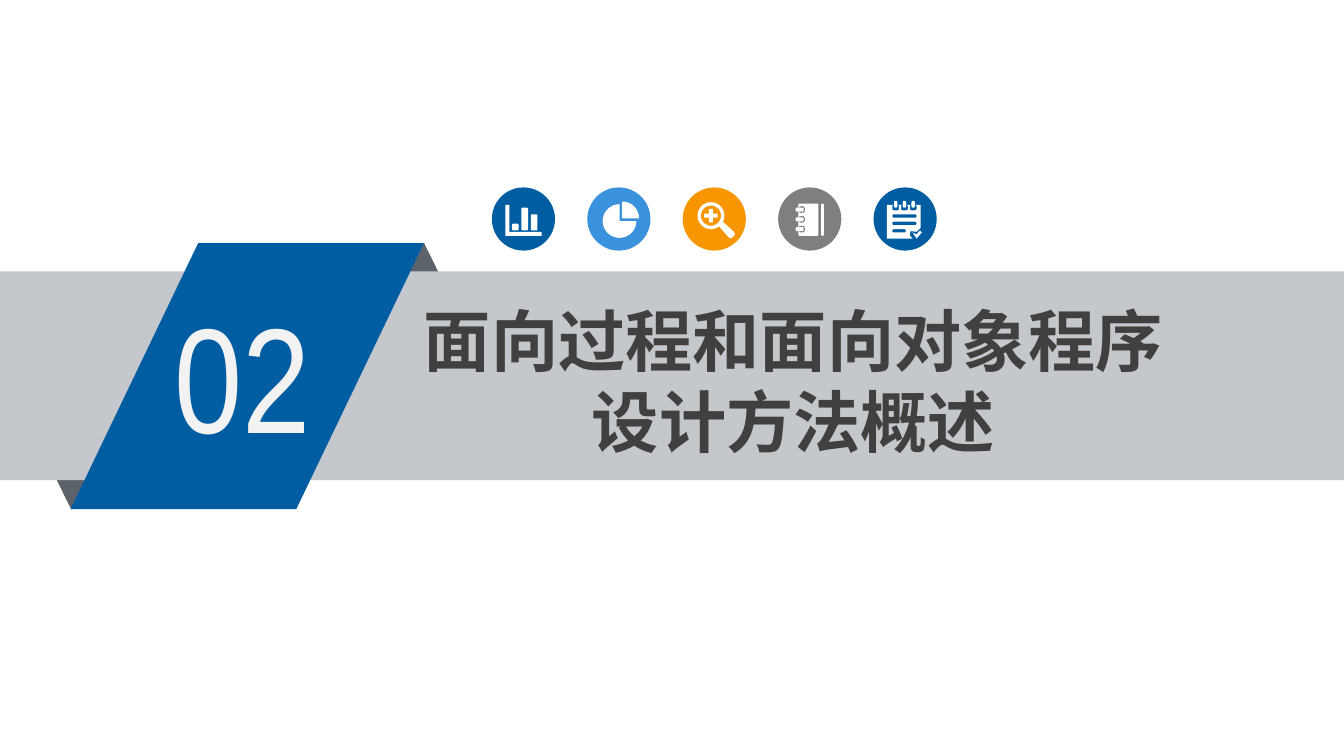
from dataclasses import dataclass
from math import cos, radians, sin

from pptx import Presentation
from pptx.dml.color import RGBColor
from pptx.enum.shapes import MSO_SHAPE
from pptx.enum.text import MSO_ANCHOR, PP_ALIGN
from pptx.oxml.xmlchemy import OxmlElement
from pptx.util import Inches, Pt

WIDTH = Inches(10)
HEIGHT = WIDTH * 9 // 16


@dataclass(frozen=True)
class Theme:
    blue: str = "005DA2"
    sky: str = "3992DB"
    orange: str = "F79600"
    grey: str = "7F7F7F"
    band: str = "C4C7CB"
    fold: str = "5D636A"
    white: str = "FFFFFF"
    number: str = "F2F2F2"
    title: str = "404040"
    number_font: str = "Arial Narrow"
    title_font: str = "Noto Sans CJK SC"
    number_size: int = 80
    title_size: int = 36
    title_leading: float = 43.2


THEME = Theme()


def area(x, y, w, h):
    """Turn percentages of the slide's width and height into lengths."""
    return [int(size * share / 100)
            for size, share in zip((WIDTH, HEIGHT, WIDTH, HEIGHT), (x, y, w, h))]


def paint(sp, color):
    sp.shadow.inherit = False
    sp.fill.solid()
    sp.fill.fore_color.rgb = RGBColor.from_string(color)
    sp.line.fill.background()


def add_block(shapes, kind, box, color):
    sp = shapes.add_shape(kind, *box)
    paint(sp, color)
    return sp


def write(sp, text, size, color, font, side, bold=False):
    tf = sp.text_frame
    tf.word_wrap = True
    tf.vertical_anchor = MSO_ANCHOR.TOP
    tf.margin_left = tf.margin_right = Inches(side)
    tf.margin_top = tf.margin_bottom = Inches(0.04)
    p = tf.paragraphs[0]
    r = p.add_run()
    r.text = text
    r.font.size = Pt(size)
    r.font.bold = bold
    r.font.color.rgb = RGBColor.from_string(color)
    r.font.name = font
    ea = OxmlElement("a:ea")
    ea.set("typeface", font)
    r.font._element.append(ea)
    return p


# Icon outlines: points in hundredths of an inch from the badge's centre.
# An outline lying inside another one cuts a hole in it.

def arc(cx, cy, radius, start=0, end=360, steps=40):
    angles = [radians(start + (end - start) * i / steps) for i in range(steps + 1)]
    return [(cx + radius * cos(a), cy + radius * sin(a)) for a in angles]


def bar(x, y, w, h, r=1):
    """Rectangle with corners rounded by r."""
    corners = [(x + r, y + r, 180), (x + w - r, y + r, 270),
               (x + w - r, y + h - r, 0), (x + r, y + h - r, 90)]
    return [pt for cx, cy, a in corners for pt in arc(cx, cy, r, a, a + 90, 4)]


def chart_icon():
    axes = [(-13.5, -10.5), (-10.5, -10.5), (-10.5, 9.5),
            (13.5, 9.5), (13.5, 12.5), (-13.5, 12.5)]
    heights = (5, 17, 12)
    return [axes] + [bar(-8.5 + 7 * i, 8.5 - h, 5, h) for i, h in enumerate(heights)]


def pie_icon():
    return [[(2.5, -0.5)] + arc(2.5, -0.5, 12.5, 270, 360),
            [(0.5, 1.5)] + arc(0.5, 1.5, 12.5, 0, 270)]


def magnifier_icon():
    x, y, long, short = -2.5, -2.5, 5, 1.5
    handle = [(14.5, 9.5), (15.5, 11.5), (12.5, 14.5), (10.5, 13.5)]
    quarter = [(short, -long), (short, -short), (long, -short)]
    plus = []
    for _ in range(4):
        plus += [(x + dx, y + dy) for dx, dy in quarter]
        quarter = [(-dy, dx) for dx, dy in quarter]
    return [arc(x, y, 10, 53, 387) + handle, arc(x, y, 7.5), plus]


def notebook_icon():
    outlines = [bar(-8.5, -11.5, 15, 24), bar(8.5, -11.5, 2, 24)]
    for i in range(3):
        y = -9.5 + 7.25 * i
        outlines += [bar(-8.5, y, 5, 5, 2), bar(-10.5, y + 1, 6, 3)]
    return outlines


def checklist_icon():
    page = [(-13.5, -10.5), (11.5, -10.5), (11.5, 6.5), (8.5, 9.5),
            (4, 9), (3.5, 12), (5.5, 14.5), (-13.5, 14.5)]
    tick = [(5.5, 10), (8.5, 11.5), (11, 8.5), (12.5, 10), (8.5, 14.5)]
    lines = [bar(-9.5, -3.5 + 5.5 * i, w, 2.5) for i, w in enumerate((18, 18, 10))]
    outlines = [page, tick] + lines
    for i in range(3):
        x = -9.5 + 6.5 * i
        outlines += [bar(x, -10.5, 5, 4), bar(x + 1.25, -13.5, 2.5, 5)]
    return outlines


def add_icon(shapes, cx, cy, outlines):
    outlines = [[(cx + Inches(x / 100), cy + Inches(y / 100)) for x, y in points]
                for points in outlines]
    builder = shapes.build_freeform(*outlines[0][0], scale=1.0)
    for i, points in enumerate(outlines):
        if i:
            builder.move_to(*points[0])
        builder.add_line_segments(points[1:], close=True)
    paint(builder.convert_to_shape(), THEME.white)


def add_badges(s):
    badges = [(THEME.blue, chart_icon), (THEME.sky, pie_icon),
              (THEME.orange, magnifier_icon), (THEME.grey, notebook_icon),
              (THEME.blue, checklist_icon)]
    size = WIDTH * 47 // 1000
    for i, (color, icon) in enumerate(badges):
        x, y, *_ = area(36.6 + 7.1 * i, 24.8, 0, 0)
        shapes = s.shapes.add_group_shape().shapes
        add_block(shapes, MSO_SHAPE.OVAL, (x, y, size, size), color)
        add_icon(shapes, x + size // 2, y + size // 2, icon())


def add_banner(s, number):
    shapes = s.shapes.add_group_shape().shapes
    triangle = MSO_SHAPE.ISOSCELES_TRIANGLE
    add_block(shapes, triangle, area(27.05, 32.15, 9, 16.18), THEME.fold)
    lower = add_block(shapes, triangle, area(0.8, 51.2, 9, 16.18), THEME.fold)
    lower.rotation = 180
    add_block(shapes, MSO_SHAPE.RECTANGLE, area(0, 35.91, 100, 27.6), THEME.band)
    ribbon = add_block(shapes, MSO_SHAPE.PARALLELOGRAM,
                       area(5.25, 32.15, 26.3, 35.2), THEME.blue)
    ribbon.adjustments[0] = 0.48
    box = shapes.add_textbox(*area(12.25, 36.95, 14.5, 25.24))
    write(box, number, THEME.number_size, THEME.number, THEME.number_font, 0.07)


def add_title(s, text):
    sp = s.shapes.title
    sp.left, sp.top, sp.width, sp.height = area(30.3, 38.93, 57.5, 22.93)
    p = write(sp, text, THEME.title_size, THEME.title, THEME.title_font,
              0.08, bold=True)
    p.alignment = PP_ALIGN.CENTER
    p.line_spacing = Pt(THEME.title_leading)
    s.shapes._spTree.append(sp._element)  # in front of the banner


def main():
    prs = Presentation()
    prs.slide_width, prs.slide_height = WIDTH, HEIGHT
    s = prs.slides.add_slide(prs.slide_layouts[5])
    add_banner(s, "02")
    add_title(s, "面向过程和面向对象程序设计方法概述")
    add_badges(s)
    prs.save("out.pptx")


if __name__ == "__main__":
    main()
